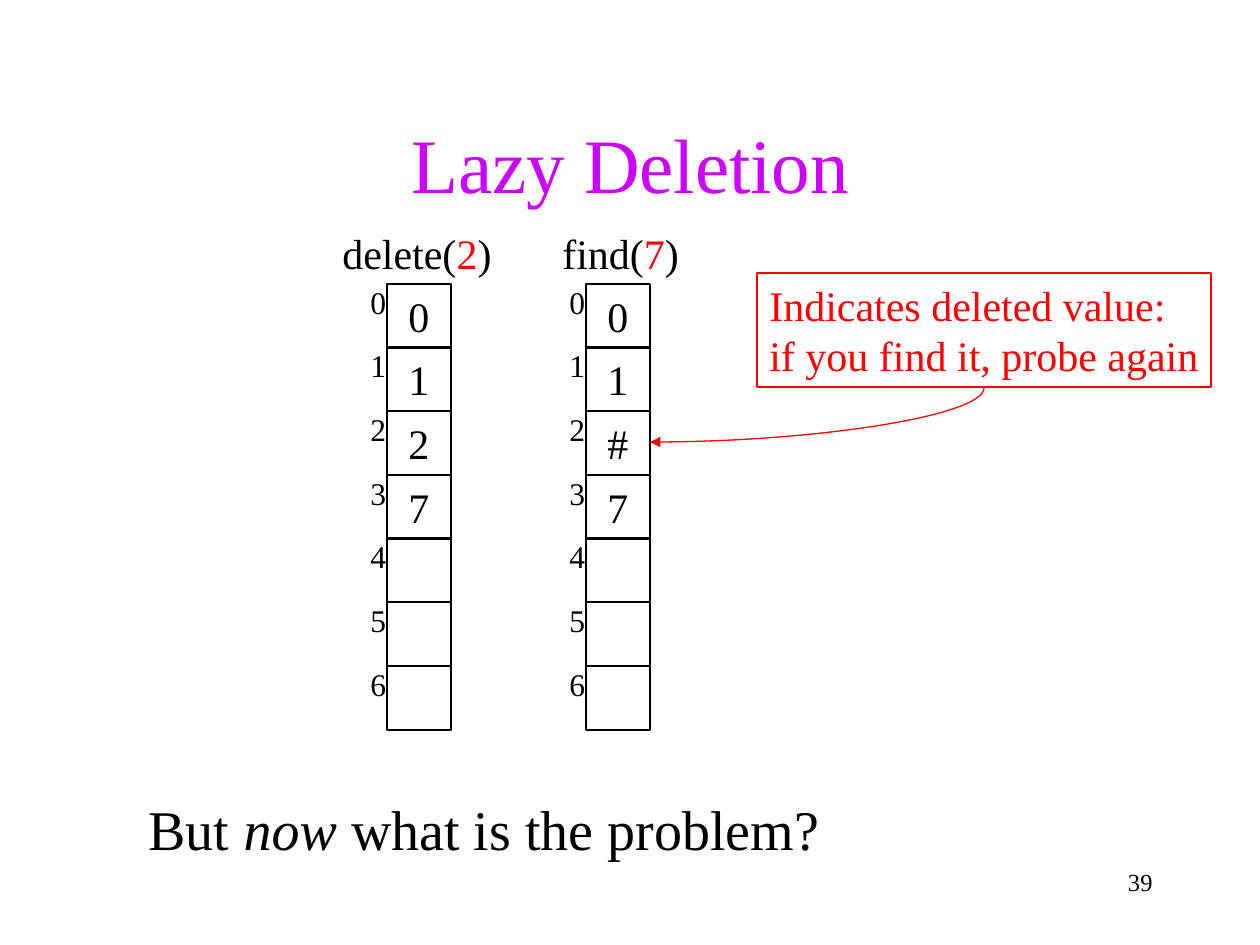
"""Build the Lazy Deletion slide: two hash tables, a callout and a question."""
from lxml.etree import SubElement
from pptx import Presentation
from pptx.dml.color import RGBColor
from pptx.enum.shapes import MSO_CONNECTOR, MSO_SHAPE
from pptx.enum.text import MSO_ANCHOR as Anchor, MSO_AUTO_SIZE as AutoSize, PP_ALIGN as Align
from pptx.oxml.ns import qn
from pptx.util import Emu, Pt

BLACK = RGBColor(0x00, 0x00, 0x00)
RED = RGBColor(0xFF, 0x00, 0x00)
PURPLE = RGBColor(0xCC, 0x00, 0xFF)
SCALE = 914400 / 126


def place(*lengths):
    return [Emu(round(length * SCALE)) for length in lengths]


def write(shape, lines, size, align=Align.LEFT, anchor=Anchor.TOP, wrap=False):
    frame = shape.text_frame
    frame.word_wrap = wrap
    frame.auto_size = AutoSize.NONE
    frame.vertical_anchor = anchor
    for number, runs in enumerate(lines):
        paragraph = frame.add_paragraph() if number else frame.paragraphs[0]
        paragraph.alignment = align
        for text, color, italic in runs:
            run = paragraph.add_run()
            run.text = text
            run.font.name = "Times New Roman"
            run.font.size = Pt(size)
            run.font.color.rgb = color
            run.font.italic = italic


presentation = Presentation()
presentation.slide_width, presentation.slide_height = place(1260, 945)
slide = presentation.slides.add_slide(presentation.slide_layouts[1])
shapes = slide.shapes

title = shapes.title
title.left, title.top, title.width, title.height = place(95, 84, 1071, 158)
write(title, [[("Lazy Deletion", PURPLE, False)]], 44, Align.CENTER, Anchor.MIDDLE, True)

question = slide.placeholders[1]
question.left, question.top, question.width, question.height = place(136, 788, 809, 116)
write(question, [[("But ", BLACK, False), ("now", BLACK, True),
                  (" what is the problem?", BLACK, False)]], 32, wrap=True)
question_line = question.text_frame.paragraphs[0]
question_line.space_before = Pt(8)
question_properties = question_line._p.get_or_add_pPr()
indent = place(47)[0]
question_properties.set("marL", str(indent))
question_properties.set("indent", str(-indent))
SubElement(question_properties, qn("a:buNone"))

hash_tables = [
    (387, 330, "delete(", "2", ["0", "1", "2", "7", "", "", ""]),
    (586, 550, "find(", "7", ["0", "1", "#", "7", "", "", ""]),
]
for table_left, call_left, operation, argument, values in hash_tables:
    call = shapes.add_textbox(*place(call_left, 221, 174, 63))
    write(call, [[(operation, BLACK, False), (argument, RED, False), (")", BLACK, False)]], 24)
    for index, value in enumerate(values):
        row_top = 284 + index * 446 // 7
        slot = shapes.add_shape(MSO_SHAPE.RECTANGLE, *place(table_left, row_top, 64, 64))
        slot.shadow.inherit = False
        slot.fill.background()
        slot.line.color.rgb = BLACK
        slot.line.width = Pt(0.75)
        if value:
            write(slot, [[(value, BLACK, False)]], 24, Align.CENTER, Anchor.MIDDLE)
        slot_number = shapes.add_textbox(*place(table_left - 29, row_top - 7, 40, 50))
        write(slot_number, [[(str(index), BLACK, False)]], 18)

callout = shapes.add_shape(MSO_SHAPE.RECTANGLE, *place(757, 273, 454, 114))
callout.shadow.inherit = False
callout.fill.background()
callout.line.color.rgb = RED
callout.line.width = Pt(0.75)
write(callout, [[("Indicates deleted value:", RED, False)],
                [("if you find it, probe again", RED, False)]], 24)

pointer = shapes.add_connector(MSO_CONNECTOR.CURVE, *place(790, 248, 844, 582))
pointer.line.color.rgb = RED
pointer.line.width = Pt(0.75)
pointer_properties = pointer._element.spPr
pointer_properties.find(qn("a:xfrm")).set("rot", "5400000")
pointer_properties.find(qn("a:prstGeom")).set("prst", "curvedConnector2")
SubElement(pointer.line._get_or_add_ln(), qn("a:tailEnd"), type="triangle")
SubElement(pointer_properties, qn("a:effectLst"))

page_number = shapes.add_textbox(*place(903, 861, 262, 63))
write(page_number, [[("39", BLACK, False)]], 14, Align.RIGHT, wrap=True)

presentation.save("out.pptx")
